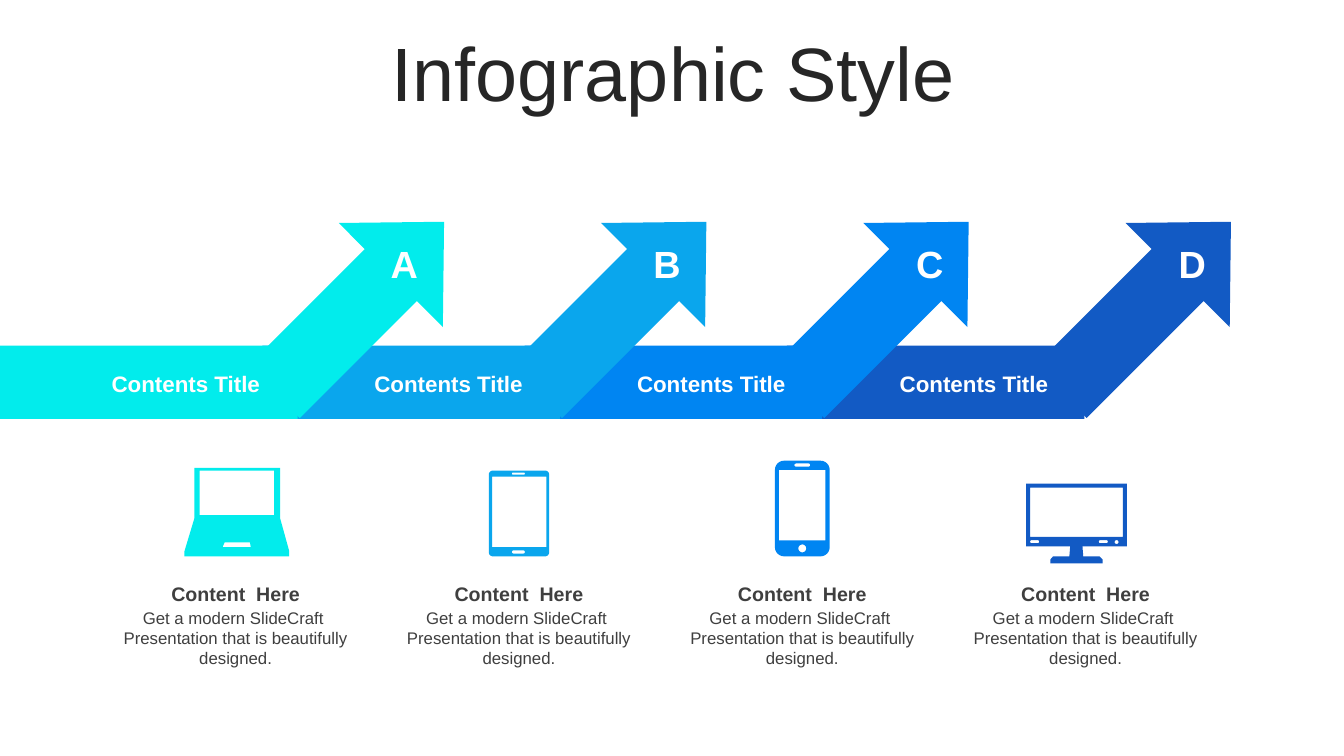
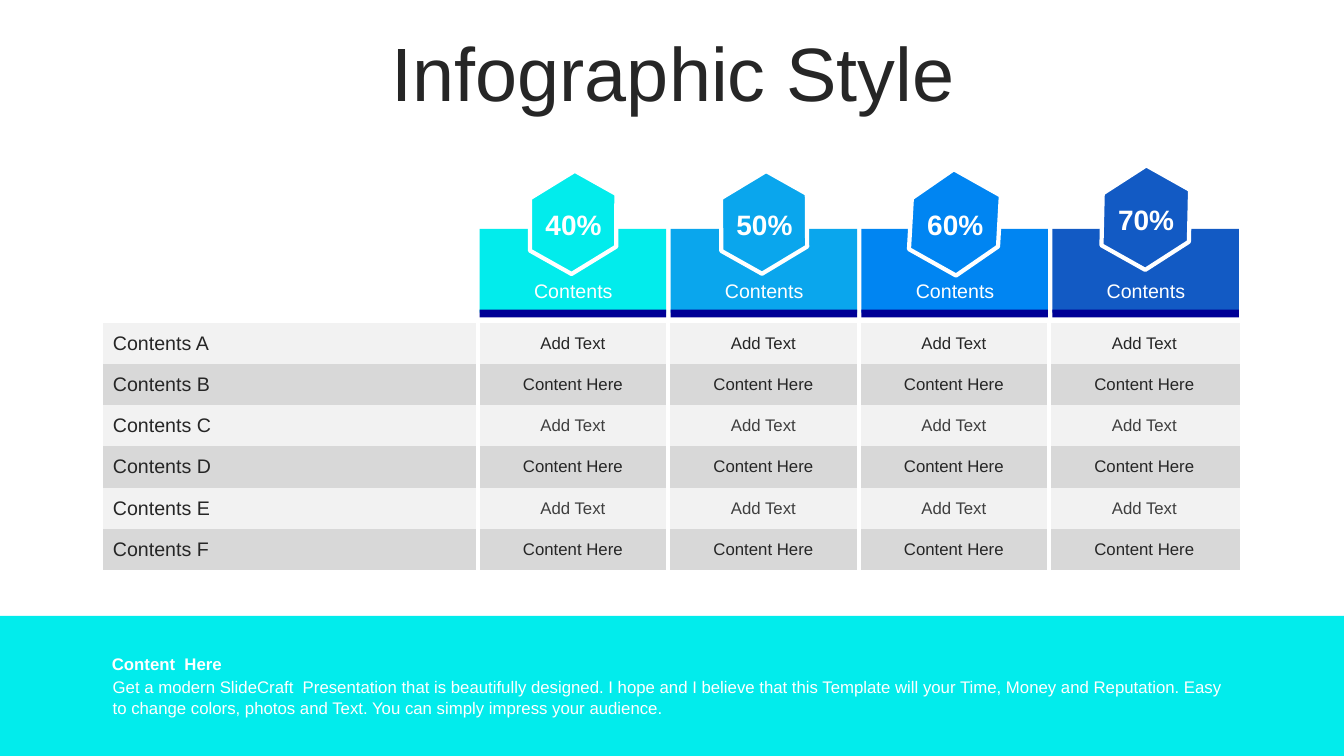
"""Build two infographic slides: a row of rising arrows and a comparison table."""
import math
import pptx
import pptx.util
import pptx.dml.color
import pptx.enum.shapes
import pptx.enum.text
import pptx.oxml
import pptx.oxml.ns

Cm, Pt = pptx.util.Cm, pptx.util.Pt
SHAPE = pptx.enum.shapes.MSO_SHAPE
ALIGN = pptx.enum.text.PP_ALIGN
ANCHOR = pptx.enum.text.MSO_ANCHOR
ACCENTS = ["02ECEC", "0AA6ED", "0085F2", "125AC4"]
WHITE, DARK, GREY, NAVY = "FFFFFF", "262626", "3F3F3F", "000096"
LIGHT_ROW, DARK_ROW = "F2F2F2", "D8D8D8"
NO_GRID = "{2D5ABB26-0587-4C30-8999-92F81FD0307C}"
HEADING = "Content  Here"
PITCH = "Get a modern SlideCraft  Presentation that is beautifully designed."


def rgb(color):
    return pptx.dml.color.RGBColor.from_string(color)


def box(left, top, width, height, radius=0):
    right, bottom = left + width, top + height
    if not radius:
        return [(left, top), (right, top), (right, bottom), (left, bottom)]
    corners = [(right - radius, bottom - radius), (left + radius, bottom - radius),
               (left + radius, top + radius), (right - radius, top + radius)]
    return [(x + radius * math.cos(math.radians(90 * i + a)),
             y + radius * math.sin(math.radians(90 * i + a)))
            for i, (x, y) in enumerate(corners) for a in range(0, 91, 15)]


class Deck:
    """Hold the shared style and the current slide."""

    font = "Arial"
    title_style = {"size": Pt(54)}

    def __init__(self):
        self.prs = pptx.Presentation()
        self.prs.slide_width, self.prs.slide_height = Cm(33.87), Cm(19.05)
        self.s = None

    def slide(self, title):
        self.s = self.prs.slides.add_slide(self.prs.slide_layouts[6])
        self.text(title, 0.89, 0.94, 32.16, 2.01, DARK, self.title_style,
                  anchor=ANCHOR.MIDDLE, spacing=0.9)

    def fill_text(self, tf, words, color, style, align, spacing=None):
        p = tf.paragraphs[0]
        p.alignment = align
        if spacing:
            p.line_spacing = spacing
        r = p.add_run()
        r.text = words
        for name, value in {"name": self.font, **style}.items():
            setattr(r.font, name, value)
        r.font.color.rgb = rgb(color)

    def text(self, words, left, top, width, height, color, style,
             align=ALIGN.CENTER, anchor=ANCHOR.TOP, spacing=None):
        sp = self.s.shapes.add_textbox(Cm(left), Cm(top), Cm(width), Cm(height))
        tf = sp.text_frame
        tf.word_wrap = True
        tf.vertical_anchor = anchor
        self.fill_text(tf, words, color, style, align, spacing)

    def paint(self, sp, fill, line=None):
        sp.shadow.inherit = False
        sp.fill.solid()
        sp.fill.fore_color.rgb = rgb(fill)
        if line:
            sp.line.color.rgb = rgb(line)
            sp.line.width = Pt(3)
        else:
            sp.line.fill.background()

    def shape(self, kind, left, top, width, height, fill, line=None,
              rotation=0, adjust=()):
        sp = self.s.shapes.add_shape(kind, Cm(left), Cm(top), Cm(width), Cm(height))
        sp.rotation = rotation
        for i, value in enumerate(adjust):
            sp.adjustments[i] = value
        self.paint(sp, fill, line)

    def outline(self, contours, fill):
        points = [[(Cm(x), Cm(y)) for x, y in contour] for contour in contours]
        builder = self.s.shapes.build_freeform(*points[0][0], scale=1.0)
        for i, contour in enumerate(points):
            if i:
                builder.move_to(*contour[0])
            builder.add_line_segments(contour[1:], close=True)
        self.paint(builder.convert_to_shape(), fill)

    def table(self, rows, left, top, widths, row_height):
        frame = self.s.shapes.add_table(len(rows), len(widths), Cm(left), Cm(top),
                                        Cm(sum(widths)), Cm(row_height * len(rows)))
        tbl = frame.table
        tbl.first_row = tbl.horz_banding = False
        frame._element.find(".//" + pptx.oxml.ns.qn("a:tableStyleId")).text = NO_GRID
        for col, width in zip(tbl.columns, widths):
            col.width = Cm(width)
        for i, (row, fill, color) in enumerate(rows):
            tbl.rows[i].height = Cm(row_height)
            for j, words in enumerate(row):
                cell = tbl.cell(i, j)
                cell.vertical_anchor = ANCHOR.MIDDLE
                cell.fill.solid()
                cell.fill.fore_color.rgb = rgb(fill)
                self.fill_text(cell.text_frame, words, color if j else DARK,
                               {"size": Pt(12 if j else 14)},
                               ALIGN.CENTER if j else ALIGN.LEFT)
                if j < len(widths) - 1:
                    self.border(cell, "lnR")
                if j:
                    self.border(cell, "lnL")

    def border(self, cell, side):
        ln = pptx.oxml.parse_xml(
            f'<a:{side} {pptx.oxml.ns.nsdecls("a")} w="{Pt(3)}"><a:solidFill>'
            f'<a:srgbClr val="{WHITE}"/></a:solidFill></a:{side}>')
        cell._tc.get_or_add_tcPr().insert(0, ln)


laptop = [
    [(4.9, 11.79), (7.06, 11.79), (7.06, 13.06), (7.29, 13.89), (7.29, 14.02),
     (4.65, 14.02), (4.65, 13.89), (4.9, 13.06)],
    box(5.03, 11.86, 1.88, 1.12),
    [(5.66, 13.67), (5.61, 13.79), (6.32, 13.79), (6.3, 13.67)]]
tablet = [
    box(12.32, 11.86, 1.52, 2.16, 0.1), box(12.4, 12.01, 1.37, 1.78),
    box(12.9, 11.91, 0.33, 0.05, 0.02), box(12.9, 13.87, 0.33, 0.08, 0.04)]
phone = [
    box(19.53, 11.61, 1.38, 2.41, 0.23), box(19.63, 11.84, 1.17, 1.78),
    box(20.02, 11.68, 0.4, 0.08, 0.04), box(20.12, 13.72, 0.2, 0.2, 0.1)]
monitor = [
    [(25.86, 12.19), (28.4, 12.19), (28.4, 13.77), (27.28, 13.77), (27.3, 14.02),
     (27.71, 14.02), (27.79, 14.1), (27.79, 14.2), (26.47, 14.2), (26.47, 14.1),
     (26.54, 14.02), (26.95, 14.02), (26.97, 13.77), (25.86, 13.77)],
    box(25.96, 12.29, 2.34, 1.24), box(25.96, 13.61, 0.23, 0.08, 0.04),
    box(27.69, 13.61, 0.23, 0.08, 0.04), box(28.09, 13.61, 0.1, 0.1, 0.05)]

deck = Deck()
deck.slide("Infographic Style")
for i, color in reversed(list(enumerate(ACCENTS))):
    x = 6.61 * i
    deck.shape(SHAPE.UP_ARROW, 7.19 + x, 4.7, 3.71, 6.07, color,
               rotation=45, adjust=(0.5, 0.512))
    deck.shape(SHAPE.RECTANGLE, x, 8.71, 7.5, 1.85, color)
for i, (letter, icon, color) in enumerate(
        zip("ABCD", [laptop, tablet, phone, monitor], ACCENTS)):
    x = 6.62 * i
    deck.text("Contents Title", 2.44 + x, 9.19, 4.49, 0.94, WHITE,
              {"size": Pt(16), "bold": True})
    deck.text(letter, 9.25 + x, 5.94, 1.88, 1.42, WHITE, {"size": Pt(27), "bold": True})
    x = 2.64 + 7.14 * i
    deck.text(HEADING, x, 14.53, 6.6, 0.86, GREY, {"size": Pt(14), "bold": True},
              anchor=ANCHOR.MIDDLE)
    deck.text(PITCH, x, 15.19, 6.6, 1.8, GREY, {"size": Pt(12)})
    deck.outline(icon, color)

deck.slide("Infographic Style")
deck.shape(SHAPE.RECTANGLE, 0, 15.52, 33.87, 3.53, ACCENTS[0])
rows = []
for i, letter in enumerate("ABCDEF"):
    words, fill = ("Content Here", DARK_ROW) if i % 2 else ("Add Text", LIGHT_ROW)
    rows.append(([f"Contents {letter}"] + [words] * 4, fill,
                 GREY if letter in "CE" else DARK))
deck.table(rows, 2.59, 8.13, [9.45] + [4.8] * 4, 1.04)
deck.text(HEADING, 2.57, 16.36, 28.73, 0.76, WHITE, {"size": Pt(12), "bold": True},
          ALIGN.LEFT, ANCHOR.MIDDLE)
deck.text(PITCH + " I hope and I believe that this Template will your Time, Money and "
          "Reputation. Easy to change colors, photos and Text. You can simply impress "
          "your audience.", 2.59, 16.94, 28.7, 1.27, WHITE, {"size": Pt(12)}, ALIGN.LEFT)
badges = [("40%", 0.279, 0), ("50%", 0.284, 0), ("60%", 0.245, 0), ("70%", 0.265, 0.12)]
for i, ((percent, bevel, lift), color) in enumerate(zip(badges, ACCENTS)):
    x = 12.09 + 4.81 * i
    deck.shape(SHAPE.RECTANGLE, x, 5.77, 4.7, 2.11, color)
    deck.shape(SHAPE.HEXAGON, x + 1.11, 4.45 - lift, 2.49, 2.31, color, WHITE,
               29.3, (bevel,))
    deck.text("Contents", x + 0.86, 6.91, 3, 0.86, WHITE, {"size": Pt(14)})
    deck.text(percent, x + 1.2, 5.08 - lift, 2.33, 1.12, WHITE,
              {"size": Pt(20), "bold": True}, anchor=ANCHOR.MIDDLE)
    deck.shape(SHAPE.RECTANGLE, x, 7.8, 4.7, 0.2, NAVY)
deck.prs.save("out.pptx")
